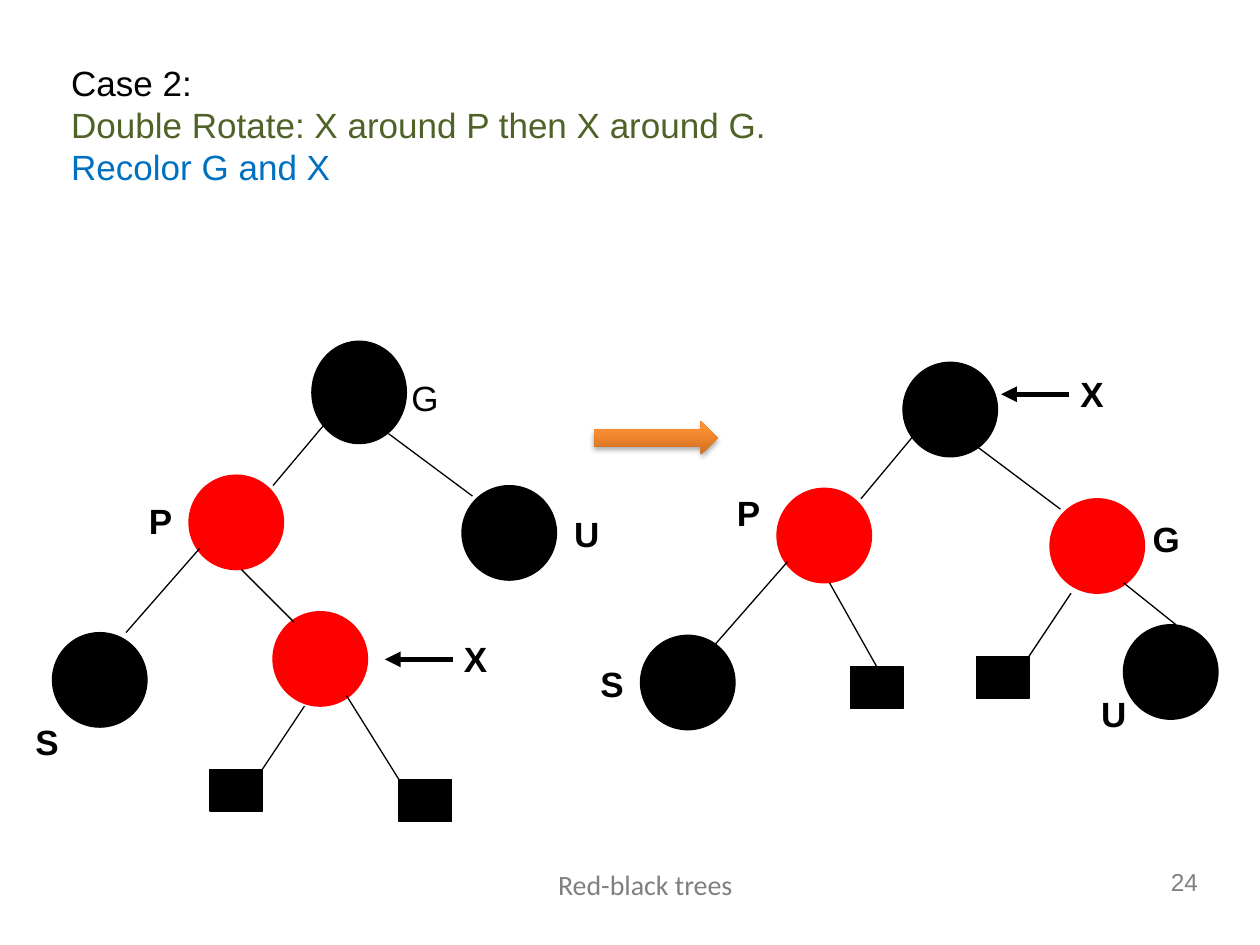
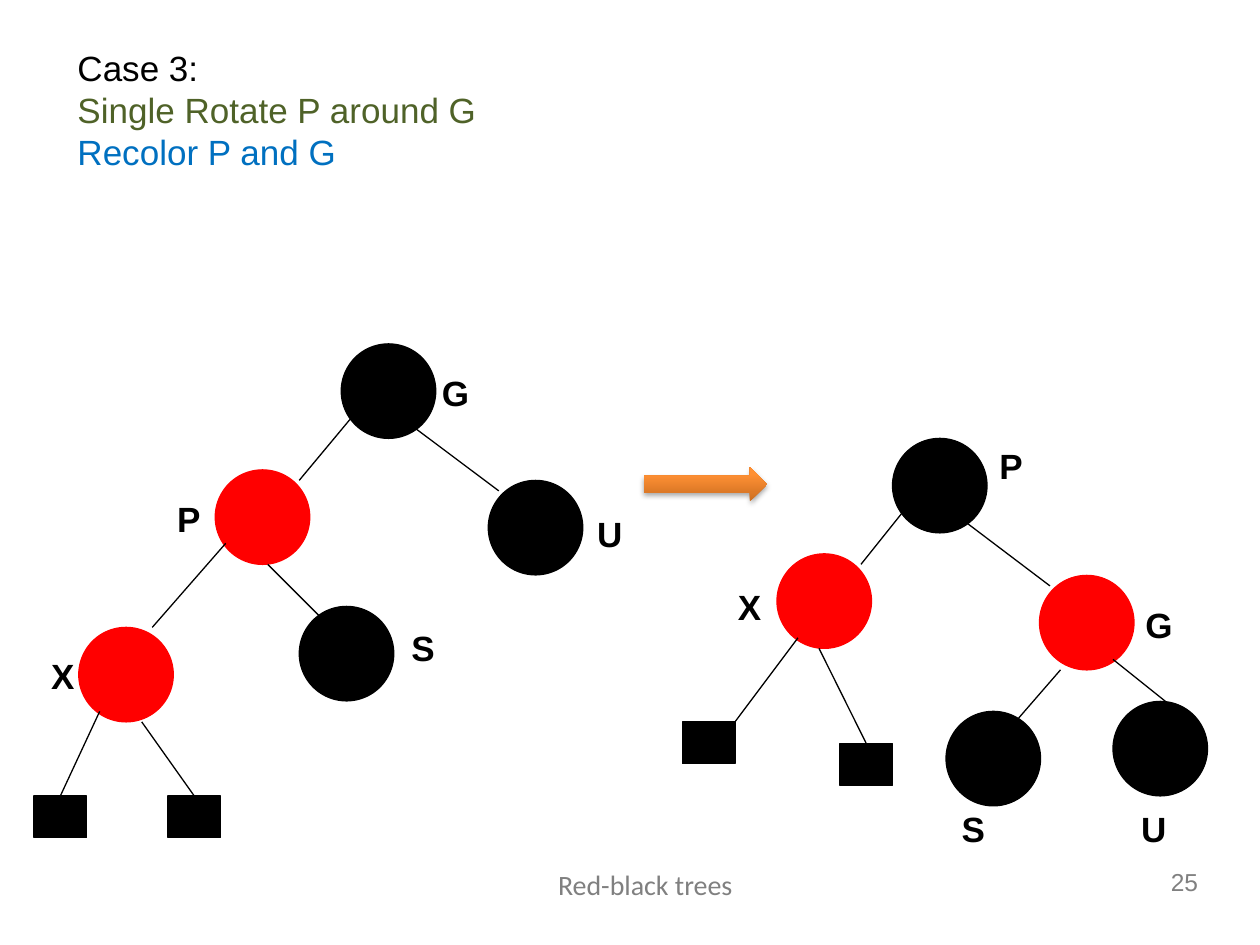
from lxml import etree
from pptx import Presentation
from pptx.dml.color import RGBColor
from pptx.enum.shapes import MSO_CONNECTOR, MSO_SHAPE
from pptx.enum.text import PP_ALIGN
from pptx.oxml.ns import qn
from pptx.util import Inches, Pt

LINE = MSO_CONNECTOR.STRAIGHT
CIRCLE, BOX, ARROW = MSO_SHAPE.OVAL, MSO_SHAPE.RECTANGLE, MSO_SHAPE.RIGHT_ARROW
LEFT, CENTER, RIGHT = PP_ALIGN.LEFT, PP_ALIGN.CENTER, PP_ALIGN.RIGHT

COLORS = {"black": "000000", "red": "FF0000", "rotate": "4F6228",
          "recolor": "0070C0", "footer": "808080",
          "arrow_dark": "CC6E20", "arrow_light": "FF9034"}

# The slide is a grid of 120 columns by 90 rows; all lengths are in cells.
COLUMNS, ROWS = 120, 90
CELL = Inches(10) // COLUMNS
NODE_SIZE, LEAF_WIDTH, LEAF_HEIGHT = 9, 5, 4
LABEL_HEIGHT, POINTER_LENGTH = 5.3, 6.5

# Edge ends, as offsets from the corner of the node; TOP joins a leaf's top side.
TOP = None
TO_LEFT, TO_RIGHT = ((1, 7), (8, 1)), ((7, 8), (1, 1))
TO_OUTER_LEFT, TO_INNER_RIGHT = ((1, 7), (7, 0)), ((5, 9), (2, 1))
TO_OUTER_RIGHT = ((7, 8), (5, 0))


def cells(*counts):
    return [round(count * CELL) for count in counts]


def color(name):
    return RGBColor.from_string(COLORS[name])


def add_text(slide, place, lines, size, font="Arial", bold=False,
             align=LEFT, wrap=True):
    """Write (text, colour) lines, one paragraph each."""
    frame = slide.shapes.add_textbox(*cells(*place)).text_frame
    frame.word_wrap = wrap
    frame.text = "\n".join(text for text, _ in lines)
    for paragraph, (_, tint) in zip(frame.paragraphs, lines):
        paragraph.alignment = align
        for run in paragraph.runs:
            run.font.name, run.font.size, run.font.bold = font, Pt(size), bold
            run.font.color.rgb = color(tint)


def add_solid(slide, kind, place, tint):
    solid = slide.shapes.add_shape(kind, *cells(*place))
    solid.shadow.inherit = False
    solid.fill.solid()
    solid.fill.fore_color.rgb = solid.line.color.rgb = color(tint)
    solid.line.width = Pt(0.75)
    return solid


def add_line(slide, start, end, width=0.75):
    line = slide.shapes.add_connector(LINE, *cells(*start, *end))
    line.line.color.rgb = color("black")
    line.line.width = Pt(width)
    etree.SubElement(line._element.spPr, qn("a:effectLst"))
    return line


def add_pointer(slide, start):
    """Thick arrow that runs left from a label to its node."""
    x, y = start
    pointer = add_line(slide, start, (x - POINTER_LENGTH, y), 3)
    etree.SubElement(pointer.line._get_or_add_ln(), qn("a:tailEnd"), type="triangle")


def add_label(slide, name, corner, width=5, bold=True):
    add_text(slide, (*corner, width, LABEL_HEIGHT), [(name, "black")], 20, bold=bold)


def shifted(corner, offset):
    return corner[0] + offset[0], corner[1] + offset[1]


def add_tree(slide, nodes, leaves, edges, pointed=None):
    """Nodes: name -> (corner, colour, label offset, extra options)."""
    corners, shapes = dict(leaves), {}
    for name, (corner, tint, _, options) in nodes.items():
        corners[name] = corner
        height = options.get("height", NODE_SIZE)
        shapes[name] = add_solid(slide, CIRCLE, (*corner, NODE_SIZE, height), tint)
    for name, corner in leaves.items():
        shapes[name] = add_solid(slide, BOX, (*corner, LEAF_WIDTH, LEAF_HEIGHT), "black")

    for parent, child, (start, end) in edges:
        edge = add_line(slide, shifted(corners[parent], start),
                        shifted(corners[child], end or (LEAF_WIDTH / 2, 0)))
        if end is TOP:
            edge.end_connect(shapes[child], 0)

    for name, (corner, _, offset, options) in nodes.items():
        label_corner = shifted(corner, offset)
        add_label(slide, name, label_corner,
                  options.get("width", 5), options.get("bold", True))
        if name == pointed:
            add_pointer(slide, shifted(label_corner, (0.15, LABEL_HEIGHT / 2)))


def add_rotation_arrow(slide, corner):
    arrow = slide.shapes.add_shape(ARROW, *cells(*corner, 11.75, 3.25))
    arrow.line.fill.background()
    arrow.fill.gradient()
    arrow.fill.gradient_angle = 90
    dark, light = arrow.fill.gradient_stops
    dark.color.rgb, dark.position = color("arrow_dark"), 0
    light.color.rgb, light.position = color("arrow_light"), 0.8
    # Soft shadow below the arrow
    effects = etree.SubElement(arrow._element.spPr, qn("a:effectLst"))
    shadow = etree.SubElement(effects, qn("a:outerShdw"), blurRad=str(Pt(3.1)),
                              dist=str(Pt(1.8)), dir="5400000", rotWithShape="0")
    tint = etree.SubElement(shadow, qn("a:srgbClr"), val=COLORS["black"])
    etree.SubElement(tint, qn("a:alpha"), val="35000")


def add_case(deck, number, title_corner, case, rotate, recolor):
    """Blank slide with the title lines and the footer."""
    slide = deck.slides.add_slide(deck.slide_layouts[6])
    add_text(slide, (110, 82, 5.3, 4), [(str(number), "footer")], 14,
             align=RIGHT, wrap=False)
    add_text(slide, (23.2, 82, 76.5, 4.8), [("Red-black trees", "footer")], 16,
             font="Calibri", align=CENTER)
    add_text(slide, (*title_corner, 104, 13.3),
             [(case, "black"), (rotate, "rotate"), (recolor, "recolor")], 20)
    return slide


def build_double_rotation(deck):
    slide = add_case(deck, 24, (5.6, 5.3), "Case 2:",
                     "Double Rotate: X around P then X around G.", "Recolor G and X")
    # Before
    add_tree(slide, {
        "G": ((29.7, 32.5), "black", (8.3, 2.8),
              {"height": 9.75, "width": 7, "bold": False}),
        "P": ((18, 45.25), "red", (-5, 1.7), {}),
        "U": ((44, 46.25), "black", (9.5, 2), {}),
        "X": ((26, 58.25), "red", (17, 1.9), {"width": 9}),
        "S": ((5, 60.25), "black", (-2.8, 7.75), {"width": 7}),
    }, {"leaf 1": (20, 73.25), "leaf 2": (38, 74.25)}, [
        ("G", "P", ((1.3, 7.8), (8, 1))),
        ("G", "U", ((7.3, 8.8), (1, 1))),
        ("P", "X", TO_INNER_RIGHT),
        ("P", "S", TO_OUTER_LEFT),
        ("X", "leaf 1", ((3, 9), (5, 0))),
        ("X", "leaf 2", ((7, 8), (0, 0))),
    ], pointed="X")
    # After
    add_tree(slide, {
        "X": ((86, 34.5), "black", (15.7, 0.4), {"width": 9}),
        "P": ((74, 46.5), "red", (-5, -0.3), {}),
        "G": ((100, 47.5), "red", (8.6, 1.2), {}),
        "U": ((107, 59.5), "black", (-3.3, 5.9), {}),
        "S": ((61, 60.5), "black", (-5, 2), {}),
    }, {"leaf 1": (93, 62.5), "leaf 2": (81, 63.5)}, [
        ("X", "P", TO_LEFT),
        ("X", "G", TO_RIGHT),
        ("G", "U", TO_OUTER_RIGHT),
        ("G", "leaf 1", ((2, 9), (5, 0))),
        ("P", "leaf 2", ((5, 9), TOP)),
        ("P", "S", ((1, 7), (7, 1))),
    ], pointed="X")
    add_rotation_arrow(slide, (56.6, 40.1))


def build_single_rotation(deck):
    slide = add_case(deck, 25, (6.2, 3.8), "Case 3:",
                     "Single Rotate P around G", "Recolor P and G")
    # Before
    add_tree(slide, {
        "G": ((32.5, 32.75), "black", (8.4, 2), {"width": 7}),
        "P": ((20.5, 44.75), "red", (-4.8, 2), {}),
        "U": ((46.5, 45.75), "black", (9.2, 2.5), {}),
        "S": ((28.5, 57.75), "black", (9.5, 1.3), {"width": 7}),
        "X": ((7.5, 59.75), "red", (-3.8, 2), {"width": 9}),
    }, {"leaf 1": (3.25, 75.8), "leaf 2": (16, 75.8)}, [
        ("G", "P", TO_LEFT),
        ("G", "U", TO_RIGHT),
        ("P", "S", TO_INNER_RIGHT),
        ("P", "X", TO_OUTER_LEFT),
        ("X", "leaf 1", ((2, 8), TOP)),
        ("X", "leaf 2", ((6, 9), TOP)),
    ])
    # After
    add_tree(slide, {
        "P": ((85, 41.75), "black", (9, 0), {"width": 9}),
        "X": ((74, 52.75), "red", (-4.9, 2.4), {}),
        "G": ((99, 54.8), "red", (8.9, 2.1), {}),
        "U": ((106, 66.8), "black", (1.5, 9.5), {}),
        "S": ((90.1, 67.75), "black", (0.3, 8.6), {}),
    }, {"leaf 1": (65, 68.75), "leaf 2": (80, 70.8)}, [
        ("P", "X", TO_LEFT),
        ("P", "G", TO_RIGHT),
        ("G", "U", TO_OUTER_RIGHT),
        ("G", "S", ((2, 9), (4, 4))),
        ("X", "leaf 1", ((2, 8), (5, 0))),
        ("X", "leaf 2", ((4, 9), TOP)),
    ])
    add_rotation_arrow(slide, (61.3, 44.5))


def main():
    deck = Presentation()
    deck.slide_width, deck.slide_height = cells(COLUMNS, ROWS)
    build_double_rotation(deck)
    build_single_rotation(deck)
    deck.save("out.pptx")


if __name__ == "__main__":
    main()
